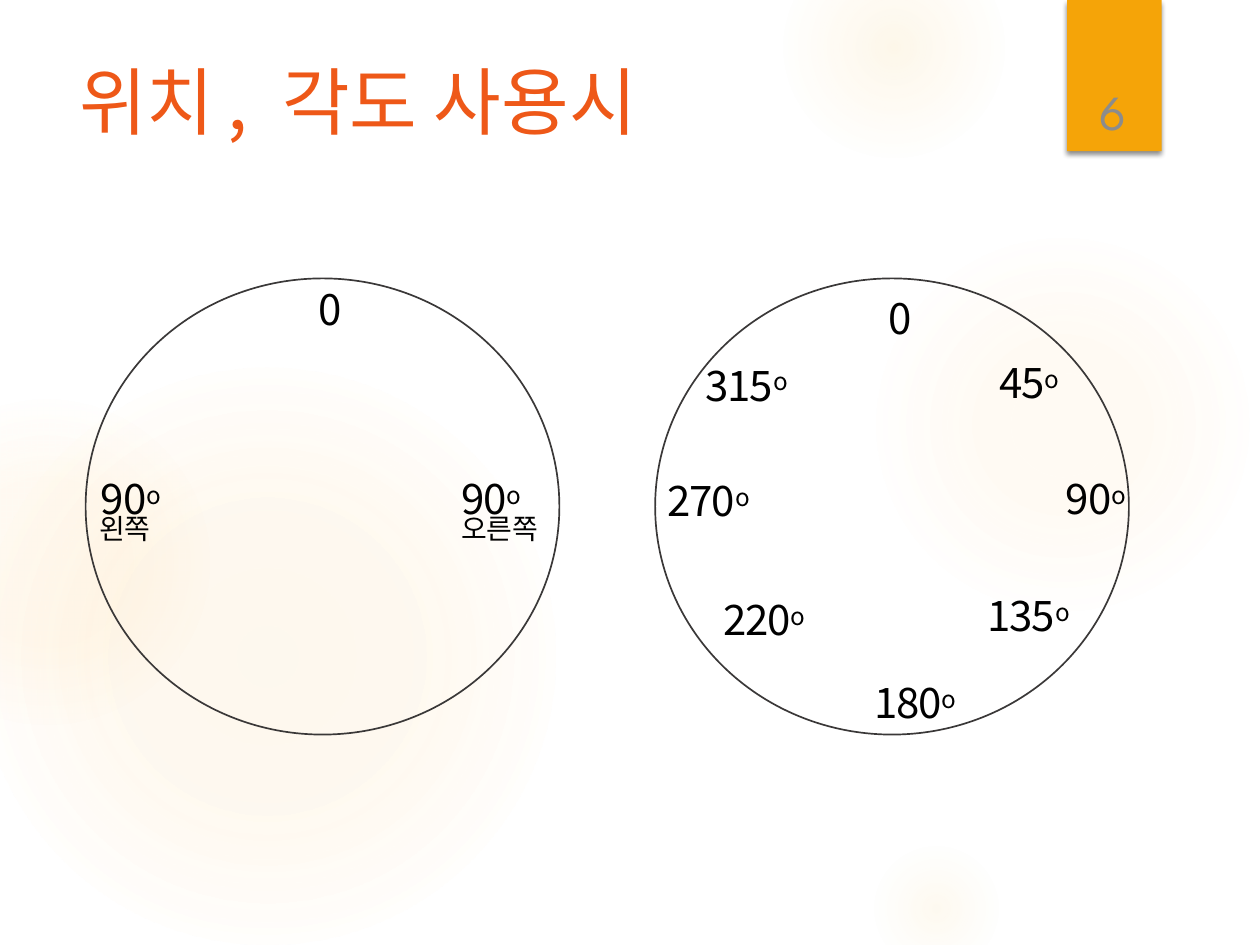
"""Build a slide comparing two ways of labelling positions and angles on a circle."""
from lxml import etree
from pptx import Presentation
from pptx.dml.color import RGBColor
from pptx.enum import shapes, text
from pptx.oxml import ns, parse_xml
from pptx.util import Inches, Pt

ORANGE = RGBColor(0xEE, 0x58, 0x18)
AMBER = RGBColor(0xF5, 0xA4, 0x08)
GLOW = RGBColor(0xFA, 0xC9, 0x6A)
OUTLINE = RGBColor(0x3A, 0x38, 0x38)
BLACK = RGBColor(0, 0, 0)
GRAY = RGBColor(0x8C, 0x8C, 0x8C)
KOREAN = "Noto Sans CJK KR"
LATIN = "League Spartan"


def add_run(paragraph, words, size, color, font=KOREAN, spacing=0, baseline=0):
    run = paragraph.add_run()
    run.text = words
    run.font.size = Pt(size)
    run.font.color.rgb = color
    run.font.name = font
    properties = run.font._element
    etree.SubElement(properties, ns.qn("a:ea"), typeface=font)
    properties.set("spc", str(round(spacing * 100)))
    if baseline:
        properties.set("baseline", str(baseline * 1000))


def add_label(left, top, width, height, indent, before, runs):
    label = slide.shapes.add_textbox(Inches(left), Inches(top), Inches(width), Inches(height))
    frame = label.text_frame
    frame.word_wrap = True
    frame.auto_size = text.MSO_AUTO_SIZE.SHAPE_TO_FIT_TEXT
    frame.margin_left = frame.margin_right = frame.margin_bottom = 0
    frame.margin_top = Inches(0.01)
    paragraph = frame.paragraphs[0]
    paragraph.space_before = Pt(before)
    paragraph._p.get_or_add_pPr().set("marL", str(Inches(indent)))
    for words, size, spacing, baseline in runs:
        add_run(paragraph, words, size, BLACK, KOREAN, spacing, baseline)


presentation = Presentation()
presentation.slide_width = Inches(10)
presentation.slide_height = Inches(7.5)
slide = presentation.slides.add_slide(presentation.slide_layouts[5])

glows = [
    (6.89, 1.83, 3.08, [(0, 7), (36, 6), (69, 0)]),
    (6.22, -0.5, 1.75, [(0, 14), (36, 7), (73, 0)]),
    (6.89, 6.67, 1.08, [(0, 10), (31, 5), (66, 0)]),
    (-0.17, 2.92, 4.58, [(0, 11), (36, 10), (75, 0)]),
    (-0.92, 3.17, 2.58, [(0, 8), (36, 8), (72, 0)]),
]
for left, top, size, stops in glows:
    glow = slide.shapes.add_shape(
        shapes.MSO_SHAPE.OVAL, Inches(left), Inches(top), Inches(size), Inches(size))
    glow.shadow.inherit = False
    glow.line.fill.background()
    stop_xml = "".join(
        f'<a:gs pos="{position * 1000}"><a:srgbClr val="{GLOW}">'
        f'<a:alpha val="{alpha * 1000}"/></a:srgbClr></a:gs>'
        for position, alpha in stops)
    gradient = parse_xml(
        f'<a:gradFill {ns.nsdecls("a")}><a:gsLst>{stop_xml}</a:gsLst><a:path path="circle">'
        '<a:fillToRect l="50000" t="50000" r="50000" b="50000"/></a:path></a:gradFill>')
    glow._element.spPr.find(ns.qn("a:prstGeom")).addnext(gradient)

tab = slide.shapes.add_shape(
    shapes.MSO_SHAPE.RECTANGLE, Inches(8.47), Inches(0), Inches(0.75), Inches(1.2))
tab.shadow.inherit = False
tab.fill.solid()
tab.fill.fore_color.rgb = AMBER
tab.line.fill.background()
tab._element.spPr.find(ns.qn("a:effectLst")).append(parse_xml(
    f'<a:outerShdw {ns.nsdecls("a")} blurRad="{Pt(3)}" dist="{Pt(2)}" dir="5400000">'
    f'<a:srgbClr val="{BLACK}"><a:alpha val="45000"/></a:srgbClr></a:outerShdw>'))

for left in (0.68, 5.2):
    circle = slide.shapes.add_shape(
        shapes.MSO_SHAPE.OVAL, Inches(left), Inches(2.21), Inches(3.76), Inches(3.62))
    circle.shadow.inherit = False
    circle.fill.background()
    circle.line.color.rgb = OUTLINE
    circle.line.width = Pt(0.96)

for left, top in ((2.52, 2.24), (7.04, 2.31)):
    add_label(left, top, 0.21, 0.43, 0.01, 1, [("0", 24, -1.2, 0)])

angles = [
    ("90", 3.62, 3.74), ("90", 0.76, 3.74), ("90", 8.42, 3.74), ("45", 7.89, 2.82),
    ("180", 6.9, 5.36), ("270", 5.26, 3.76), ("315", 5.56, 2.84),
    ("220", 5.7, 4.7), ("135", 7.8, 4.67),
]
for degrees, left, top in angles:
    width, spacing, mark_spacing = (0.58, -0.6, -0.8) if len(degrees) == 2 else (0.77, -0.7, -1)
    add_label(left, top, width, 0.43, 0.04, 1,
              [(degrees, 24, spacing, 0), ("o", 24, mark_spacing, 24)])

for side, left, width in (("오른쪽", 3.65, 0.69), ("왼쪽", 0.78, 0.47)):
    add_label(left, 4.05, width, 0.29, 0.01, 0.9, [(side, 16, -0.1, 0)])

title = slide.shapes.title
title.left, title.top = Inches(0.53), Inches(0.5)
title.width, title.height = Inches(7.72), Inches(1.53)
title.text_frame.auto_size = text.MSO_AUTO_SIZE.NONE
title.text_frame.vertical_anchor = text.MSO_ANCHOR.TOP
title.text_frame.margin_top = 0
heading = title.text_frame.paragraphs[0]
heading.alignment = text.PP_ALIGN.LEFT
heading.line_spacing = 0.94
for words, spacing in (("위", 0), ("치", 7.5), (", ", 5), ("각도 사용시", 0)):
    add_run(heading, words, 42, ORANGE, KOREAN, spacing)

number = slide.shapes.add_textbox(Inches(8.49), Inches(0.32), Inches(0.69), Inches(0.84))
number.text_frame.word_wrap = True
number.text_frame.vertical_anchor = text.MSO_ANCHOR.BOTTOM
number.text_frame.paragraphs[0].alignment = text.PP_ALIGN.CENTER
add_run(number.text_frame.paragraphs[0], "6", 28, GRAY, LATIN)

presentation.save("out.pptx")
